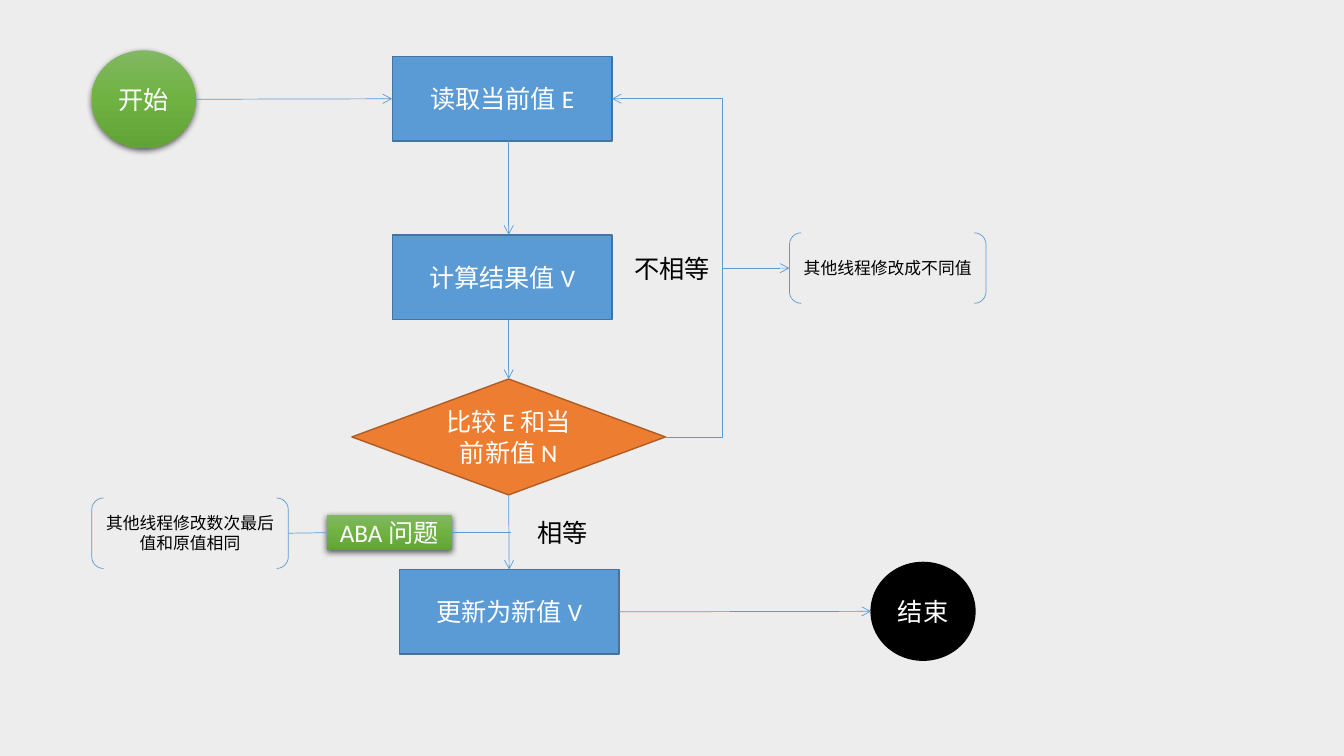
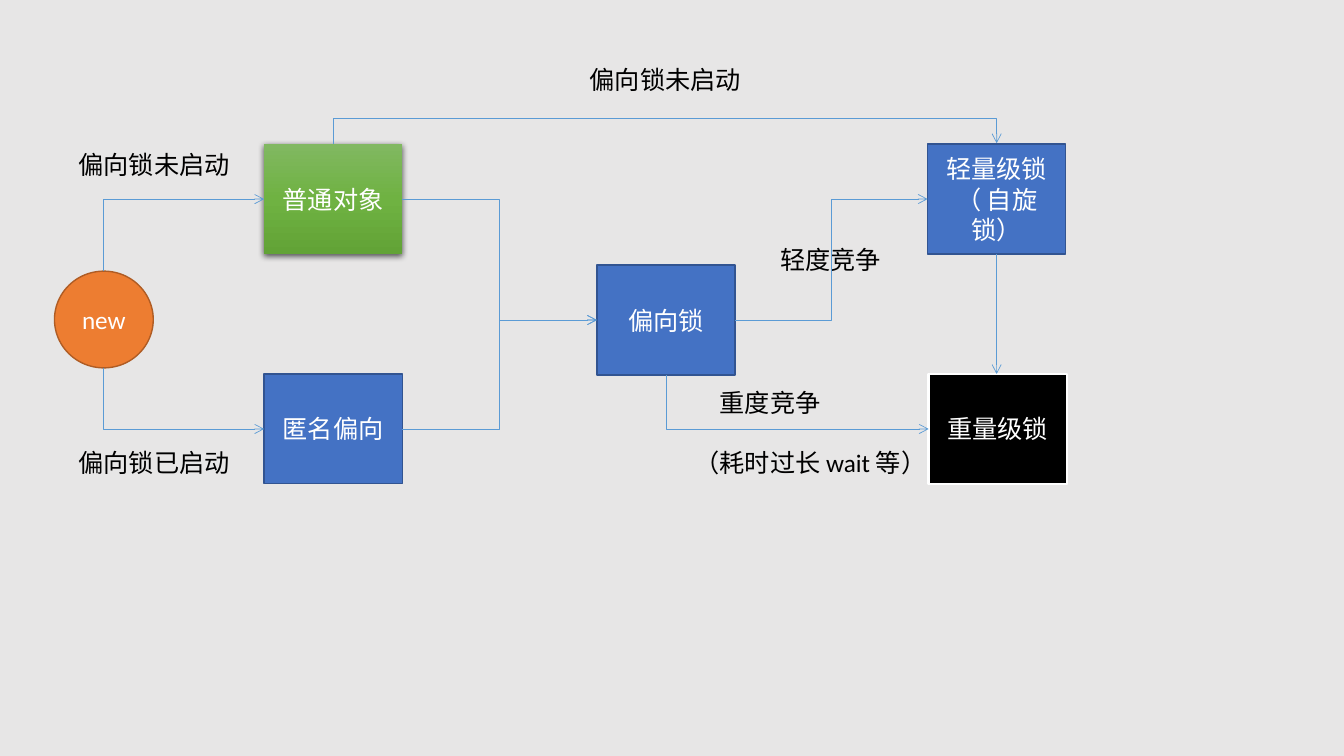
from lxml import etree
from pptx import Presentation
from pptx.dml.color import RGBColor
from pptx.enum.shapes import MSO_CONNECTOR, MSO_SHAPE
from pptx.enum.text import MSO_ANCHOR, PP_ALIGN
from pptx.oxml.ns import qn
from pptx.util import Inches, Pt

RECTANGLE, DIAMOND = MSO_SHAPE.RECTANGLE, MSO_SHAPE.DIAMOND
ELLIPSE, BRACKETS = MSO_SHAPE.OVAL, MSO_SHAPE.DOUBLE_BRACKET
PROCESS = MSO_SHAPE.FLOWCHART_PROCESS
STRAIGHT, ELBOW = MSO_CONNECTOR.STRAIGHT, MSO_CONNECTOR.ELBOW
MIDDLE, TOP = MSO_ANCHOR.MIDDLE, MSO_ANCHOR.TOP
CENTER, LEFT = PP_ALIGN.CENTER, PP_ALIGN.LEFT

COLORS = {
    "mist": "EDEDED", "silver": "E7E6E6", "black": "000000", "white": "FFFFFF",
    "sky": "5B9BD5", "sky edge": "43739E", "blue": "4472C4", "blue edge": "325491",
    "orange": "ED7D31", "orange edge": "AF5C24",
}
GREEN_STOPS = ((0, "81B861"), (50, "6FB242"), (100, "62A336"))
LATIN_FONT, CJK_FONT = "Calibri", "Noto Sans CJK SC"

# Fill, edge and edge width of each kind of node
STYLES = {
    "sky": ("sky", "sky edge", 1),
    "blue": ("blue", "blue edge", 1),
    "orange": ("orange", "orange edge", 1),
    "black": ("black", "black", 1),
    "black framed": ("black", "white", 1.5),
    "brackets": (None, "sky", 0.5),
    "green": ("green", None, 0),
}


def color(name):
    return RGBColor.from_string(COLORS[name])


def add_element(parent, tag, **attributes):
    element = etree.SubElement(parent, qn(tag))
    for name, value in attributes.items():
        element.set(name, str(value))
    return element


def write(frame, text, size=18, ink="white", font=LATIN_FONT, align=CENTER,
          anchor=MIDDLE, wrap=True):
    frame.word_wrap = wrap
    frame.vertical_anchor = anchor
    para = frame.paragraphs[0]
    para.alignment = align
    span = para.add_run()
    span.text = text
    span.font.size = Pt(size)
    span.font.name = font
    span.font.color.rgb = color(ink)
    add_element(span.font._element, "a:ea", typeface=CJK_FONT)


def paint_green(shape):
    """Three-stop gradient with a soft shadow below."""
    shape.fill.gradient()
    shape.fill.gradient_angle = 270
    stops = shape._element.spPr.find(".//" + qn("a:gsLst"))
    for stop in list(stops):
        stops.remove(stop)
    for place, tint in GREEN_STOPS:
        stop = add_element(stops, "a:gs", pos=place * 1000)
        add_element(stop, "a:srgbClr", val=tint)
    effects = shape._element.spPr.find(qn("a:effectLst"))
    shadow = add_element(effects, "a:outerShdw", blurRad=Pt(4.5), dist=Pt(1.5),
                         dir=90 * 60000, algn="ctr", rotWithShape=0)
    shade = add_element(shadow, "a:srgbClr", val=COLORS["black"])
    add_element(shade, "a:alpha", val=63000)


def add_node(page, kind, box, style, text, **text_format):
    shape = page.shapes.add_shape(kind, *map(Inches, box))
    shape.shadow.inherit = False
    fill, edge, width = STYLES[style]
    if fill == "green":
        paint_green(shape)
    elif fill:
        shape.fill.solid()
        shape.fill.fore_color.rgb = color(fill)
    else:
        shape.fill.background()
    if edge:
        shape.line.color.rgb = color(edge)
        shape.line.width = Pt(width)
    else:
        shape.line.fill.background()
    write(shape.text_frame, text, **text_format)
    return shape


def add_label(page, left, top, width, text, wrap=False):
    box = page.shapes.add_textbox(*map(Inches, (left, top, width, 0.4)))
    write(box.text_frame, text, ink="black", align=LEFT, anchor=TOP, wrap=wrap)


def port(shape, side):
    """Middle of one side of a shape, in inches."""
    across, down = {"left": (0, 0.5), "right": (1, 0.5),
                    "top": (0.5, 0), "bottom": (0.5, 1)}[side]
    return (shape.left.inches + across * shape.width.inches,
            shape.top.inches + down * shape.height.inches)


def add_link(page, start, end, kind=STRAIGHT, arrow=True):
    link = page.shapes.add_connector(kind, *map(Inches, (*start, *end)))
    link.line.color.rgb = color("sky")
    link.line.width = Pt(0.5)
    if arrow:
        add_element(link.line._get_or_add_ln(), "a:tailEnd", type="arrow")
    add_element(link._element.spPr, "a:effectLst")
    return link


def set_bend(link, share):
    """Place the middle leg at a share of the connector's length."""
    guides = link._element.spPr.find(qn("a:prstGeom")).find(qn("a:avLst"))
    add_element(guides, "a:gd", name="adj1", fmla=f"val {round(share * 100000)}")


def add_side_elbow(page, start, end, turn=None):
    """Leaves sideways, turns at x = turn, or else halfway."""
    link = add_link(page, start, end, ELBOW)
    if turn is not None:
        set_bend(link, (turn - start[0]) / (end[0] - start[0]))


def add_upright_elbow(page, start, end, turn=None):
    """Leaves vertically, then runs right; turn is the y of a middle leg."""
    width, height = abs(end[1] - start[1]), end[0] - start[0]
    center_x, center_y = ((a + b) / 2 for a, b in zip(start, end))
    corner = center_x - width / 2, center_y - height / 2
    opposite = center_x + width / 2, center_y + height / 2
    link = add_link(page, corner, opposite, ELBOW)
    downward = end[1] > start[1]
    frame = link._element.spPr.find(qn("a:xfrm"))
    frame.set("rot", str((90 if downward else 270) * 60000))
    if downward:
        frame.set("flipV", "1")
    if turn is None:
        link._element.spPr.find(qn("a:prstGeom")).set("prst", "bentConnector2")
    else:
        set_bend(link, (turn - start[1]) / (end[1] - start[1]))


def add_page(deck, background):
    page = deck.slides.add_slide(deck.slide_layouts[6])
    page.background.fill.solid()
    page.background.fill.fore_color.rgb = color(background)
    return page


def draw_compare_and_swap(page, left, top):
    def node(kind, x, y, extent, style, text, **text_format):
        return add_node(page, kind, (left + x, top + y, *extent), style, text, **text_format)

    step, circle, note = (2.18, 0.84), (1.03, 0.97), (1.95, 0.7)
    note_text = {"size": 12, "ink": "black", "font": CJK_FONT}

    # Steps
    begin = node(ELLIPSE, 0, 0, circle, "green", "开始")
    read = node(RECTANGLE, 2.98, 0.06, step, "sky", "读取当前值 E")
    compute = node(RECTANGLE, 2.98, 1.83, step, "sky", "计算结果值 V")
    compare = node(DIAMOND, 2.58, 3.26, (3.11, 1.15), "orange", "比较 E 和当前新值 N")
    update = node(RECTANGLE, 3.05, 5.15, step, "sky", "更新为新值 V")
    finish = node(ELLIPSE, 7.73, 5.08, circle, "black", "结束")

    # Side remarks
    changed = node(BRACKETS, 6.92, 1.81, note, "brackets", "其他线程修改成不同值", **note_text)
    restored = node(BRACKETS, 0, 4.44, note, "brackets",
                    "其他线程修改数次最后值和原值相同", **note_text)
    problem = node(PROCESS, 2.33, 4.61, (1.24, 0.35), "green", "ABA 问题", wrap=False)
    add_label(page, left + 5.28, top + 1.96, 0.95, "不相等")
    add_label(page, left + 4.32, top + 4.58, 0.7, "相等")

    # Main path, down the axis of the diamond
    axis = port(compare, "top")[0]
    add_link(page, port(begin, "right"), port(read, "left"))
    add_link(page, (axis, port(read, "bottom")[1]), (axis, port(compute, "top")[1]))
    add_link(page, (axis, port(compute, "bottom")[1]), port(compare, "top"))
    add_link(page, port(compare, "bottom"), port(update, "top"))
    add_link(page, port(update, "right"), port(finish, "left"))

    # Retry loop and remark links
    loop = left + 6.26
    add_side_elbow(page, port(compare, "right"), port(read, "right"), turn=loop)
    add_link(page, (loop, port(changed, "left")[1]), port(changed, "left"))
    add_link(page, port(problem, "right"), (axis + 0.02, port(problem, "right")[1]), arrow=False)
    add_link(page, port(problem, "left"), port(restored, "right"), arrow=False)


def draw_lock_upgrade(page, left, top):
    def node(x, y, style, text):
        return add_node(page, RECTANGLE, (left + x, top + y, 1.37, 1.09), style, text)

    def label(x, y, width, text, **text_format):
        add_label(page, left + x, top + y, width, text, **text_format)

    # Lock states
    plain = node(2.08, 0.84, "green", "普通对象")
    biased = node(5.38, 2.04, "blue", "偏向锁")
    anonymous = node(2.08, 3.12, "blue", "匿名偏向")
    light = node(8.66, 0.84, "blue", "轻量级锁（ 自旋锁）")
    heavy = node(8.67, 3.12, "black framed", "重量级锁")
    new = add_node(page, ELLIPSE, (left, top + 2.1, 0.98, 0.96), "orange", "new")

    # Conditions
    label(0.14, 0.84, 1.7, "偏向锁未启动")
    label(5.21, 0, 1.7, "偏向锁未启动")
    label(0.14, 3.8, 1.7, "偏向锁已启动")
    label(7.1, 1.78, 1.2, "轻度竞争")
    label(6.5, 3.2, 1.2, "重度竞争")
    label(6.25, 3.8, 2.5, "（耗时过长 wait 等）", wrap=True)

    # Transitions
    add_upright_elbow(page, port(new, "top"), port(plain, "left"))
    add_upright_elbow(page, port(new, "bottom"), port(anonymous, "left"))
    for source in (plain, anonymous):
        add_side_elbow(page, port(source, "right"), port(biased, "left"))
    add_side_elbow(page, port(biased, "right"), port(light, "left"))
    add_upright_elbow(page, port(biased, "bottom"), port(heavy, "left"))
    light_x, light_y = port(light, "top")
    add_upright_elbow(page, port(plain, "top"), (light_x, light_y - 0.01), turn=top + 0.58)
    add_link(page, port(light, "bottom"), (light_x, port(heavy, "top")[1]))


deck = Presentation()
deck.slide_width, deck.slide_height = Inches(13.33), Inches(7.5)
draw_compare_and_swap(add_page(deck, "mist"), left=0.91, top=0.5)
draw_lock_upgrade(add_page(deck, "silver"), left=0.54, top=0.59)
deck.save("out.pptx")
